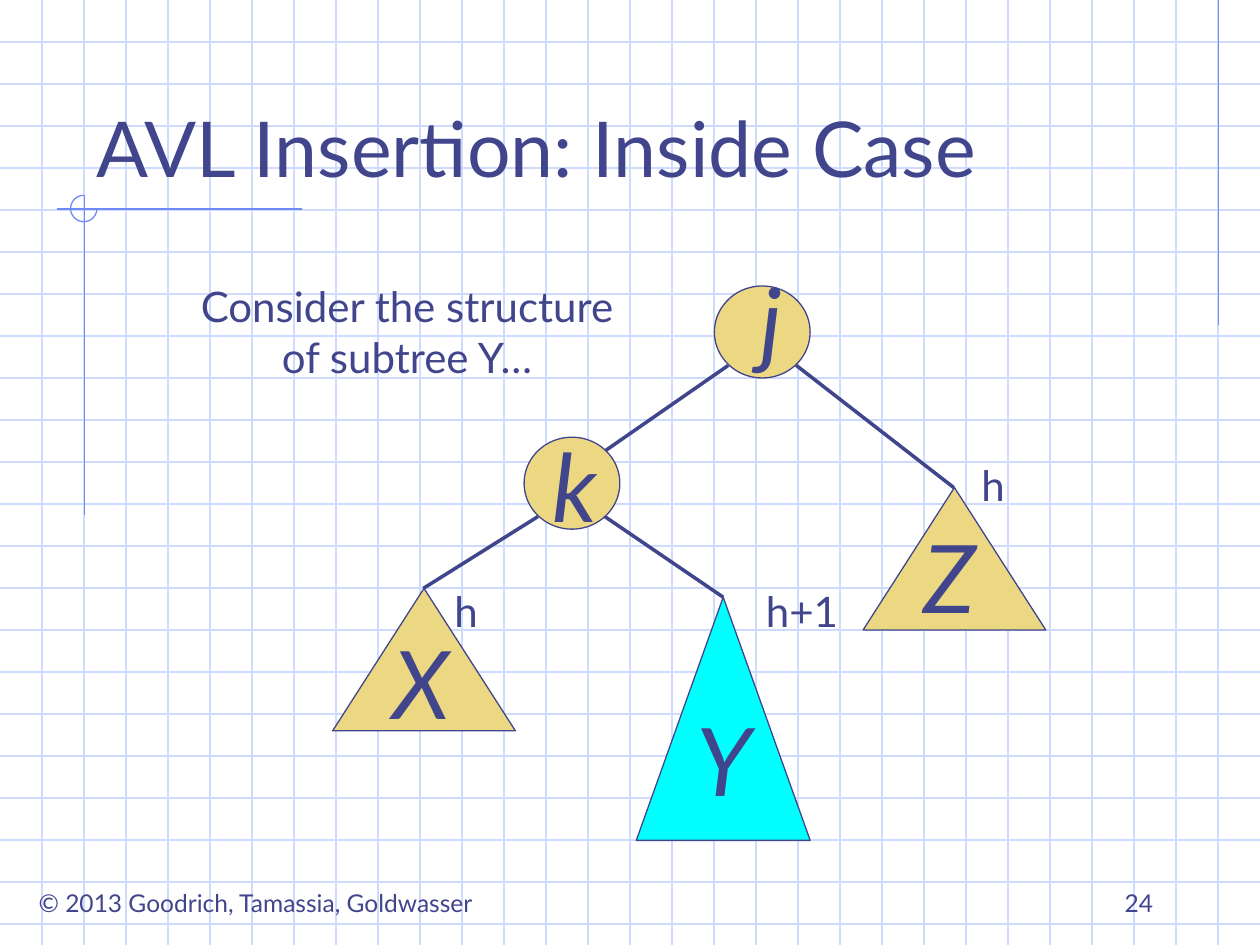
"""Build the AVL insertion slide: a tree diagram on a squared background."""
from lxml import etree
from pptx import Presentation
from pptx.dml.color import RGBColor
from pptx.enum.shapes import MSO_CONNECTOR, MSO_SHAPE
from pptx.enum.text import MSO_ANCHOR as ANCHOR, PP_ALIGN as ALIGN
from pptx.oxml.ns import qn
from pptx.util import Inches, Pt

INK, GRID, ACCENT, SAND, CYAN = "40458C", "CFDBFD", "6F89F7", "ECD882", "00FFFF"
WIDTH, HEIGHT, STEP = 10, 7.5, 1 / 3

color = RGBColor.from_string

deck = Presentation()
deck.slide_width, deck.slide_height = Inches(WIDTH), Inches(HEIGHT)
page = deck.slides.add_slide(deck.slide_layouts[6])


def draw_line(start, end, ink, width):
    line = page.shapes.add_connector(
        MSO_CONNECTOR.STRAIGHT, *(Inches(value) for value in start + end))
    line.line.color.rgb = color(ink)
    line.line.width = Pt(width)
    etree.SubElement(line._element.spPr, qn("a:effectLst"))


def write(text, place, size, align=ALIGN.CENTER, anchor=ANCHOR.TOP, wrap=True, italic=False):
    box = page.shapes.add_textbox(*(Inches(value) for value in place))
    frame = box.text_frame
    frame.text = text
    for name, value in {"word_wrap": wrap, "vertical_anchor": anchor}.items():
        setattr(frame, name, value)
    for para in frame.paragraphs:
        para.alignment = align
        for span in para.runs:
            span.font.color.rgb = color(INK)
            style = {"name": "Lato", "size": Pt(size), "italic": italic}
            for name, value in style.items():
                setattr(span.font, name, value)


for row in range(1, 23):
    draw_line((0, row * STEP), (WIDTH, row * STEP), GRID, 0.75)
for column in range(1, 30):
    draw_line((column * STEP, 0), (column * STEP, HEIGHT), GRID, 0.75)

for start, end in [
    ((9.67, 0), (9.67, 2.58)),
    ((2.4, 1.66), (0.45, 1.66)),
    ((0.67, 1.55), (0.67, 4.09)),
]:
    draw_line(start, end, ACCENT, 0.75)

arc = page.shapes.add_shape(
    MSO_SHAPE.ARC, Inches(0.56), Inches(1.55), Inches(0.21), Inches(0.21))
arc.adjustments[0], arc.adjustments[1] = 0, 162
arc.shadow.inherit = False
arc.fill.background()
arc.line.color.rgb = color(ACCENT)
arc.line.width = Pt(0.75)

write("© 2013 Goodrich, Tamassia, Goldwasser", (0.09, 7, 3.88, 0.34), 14, wrap=False)
write("AVL Insertion: Inside Case", (0.67, 0.33, 8.5, 1.25), 44, ALIGN.LEFT, ANCHOR.BOTTOM)
write("24", (7.17, 6.83, 2.08, 0.5), 14, ALIGN.RIGHT, ANCHOR.BOTTOM)
write("Consider the structure\nof subtree Y…", (1.37, 2.18, 3.72, 0.9), 24, wrap=False)

for start, end in [
    ((5.78, 2.9), (4.8, 3.58)),
    ((6.32, 2.9), (7.57, 3.87)),
    ((4.27, 4.1), (3.36, 4.67)),
    ((4.8, 4.1), (5.74, 4.74)),
]:
    draw_line(start, end, INK, 2)

CIRCLE, TRIANGLE = MSO_SHAPE.OVAL, MSO_SHAPE.ISOSCELES_TRIANGLE
for letter, kind, place, fill, letter_at in [
    ("j", CIRCLE, (5.67, 2.27, 0.76, 0.73), SAND, (5.89, 2.03)),
    ("k", CIRCLE, (4.16, 3.47, 0.76, 0.73), SAND, (4.29, 3.35)),
    ("X", TRIANGLE, (2.64, 4.67, 1.45, 1.13), SAND, (3.02, 4.91)),
    ("Y", TRIANGLE, (5.05, 4.74, 1.38, 1.93), CYAN, (5.43, 5.52)),
    ("Z", TRIANGLE, (6.85, 3.87, 1.45, 1.13), SAND, (7.23, 4.07)),
]:
    node = page.shapes.add_shape(kind, *(Inches(value) for value in place))
    node.shadow.inherit = False
    node.fill.solid()
    node.fill.fore_color.rgb = color(fill)
    node.line.color.rgb = color(INK)
    node.line.width = Pt(0.75)
    write(letter, letter_at + (0.46, 1), 54, italic=True)

for label, place in [
    ("h", (7.69, 3.6, 0.36, 0.5)),
    ("h+1", (5.97, 4.6, 0.79, 0.5)),
    ("h", (3.5, 4.6, 0.4, 0.5)),
]:
    write(label, place, 24, wrap=False)

deck.save("out.pptx")
